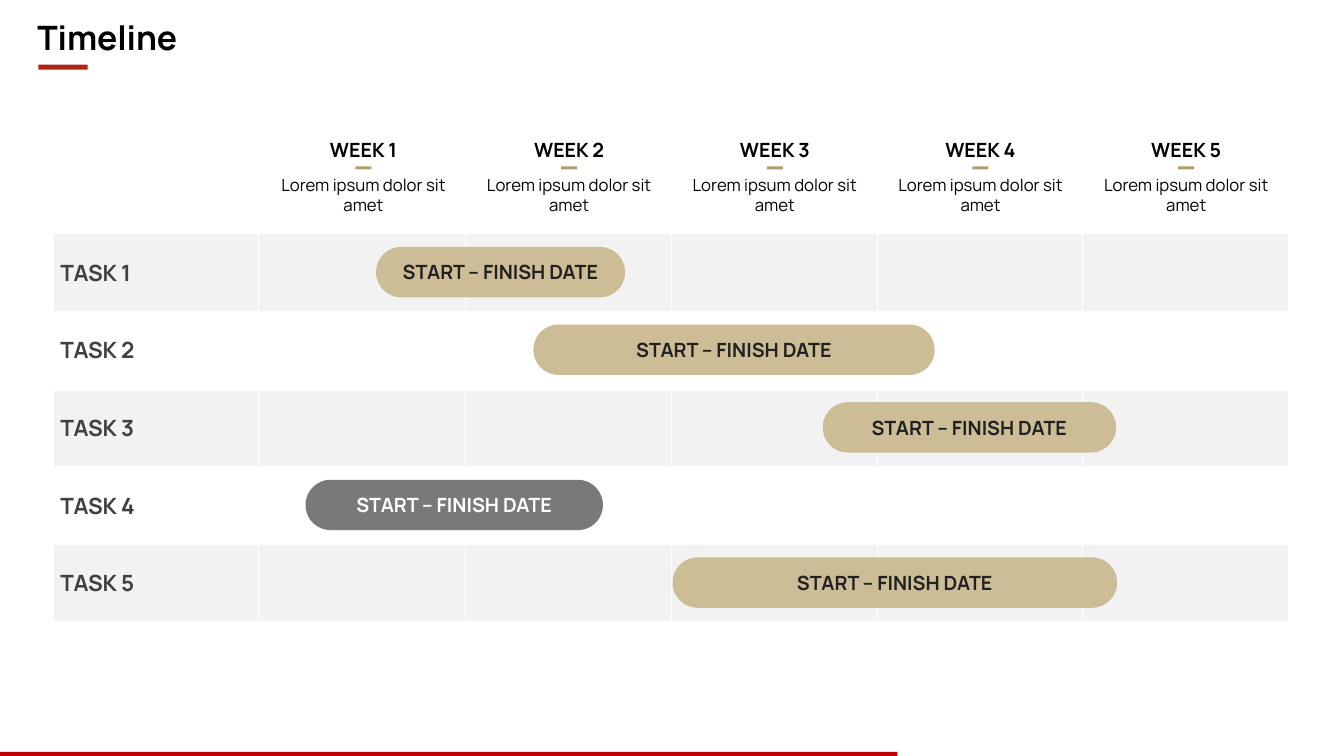
from lxml import etree
from pptx import Presentation
from pptx import util as u
from pptx.dml.color import RGBColor
from pptx.enum import shapes, text
from pptx.oxml import ns

FONT = "Manrope"
BLACK = RGBColor(0, 0, 0)
WHITE = RGBColor(255, 255, 255)
INK = RGBColor(0x21, 0x21, 0x21)
TASK_GREY = RGBColor(0x40, 0x40, 0x40)
BAND = RGBColor(0xF2, 0xF2, 0xF2)
SAND = RGBColor(0xCD, 0xBD, 0x96)
GREY = RGBColor(0x79, 0x79, 0x79)
GOLD = RGBColor(0xB6, 0x9B, 0x6A)
BRICK = RGBColor(0xB0, 0x24, 0x18)
RED = RGBColor(0xC0, 0, 0)

TITLE = "Timeline"
WEEKS = [(f"WEEK {number}", "Lorem ipsum dolor sit amet") for number in range(1, 6)]
DATES = "START – FINISH DATE"
# task, bar left, bar width, bar colour, text colour
TASKS = [
    ("TASK 1", 3.73, 2.47, SAND, INK),
    ("TASK 2", 5.29, 3.98, SAND, INK),
    ("TASK 3", 8.16, 2.91, SAND, INK),
    ("TASK 4", 3.03, 2.95, GREY, WHITE),
    ("TASK 5", 6.67, 4.41, SAND, INK),
]

COLUMNS = [2.03, 2.06, 2.04, 2.04, 2.04, 2.04]
GRID_LEFT, GRID_TOP, ROW_HEIGHT = 0.53, 2.32, 0.77
WEEK_LEFT, WEEK_PITCH, WEEK_WIDTH = 2.73, 2.04, 1.75
BAR_TOP, BAR_HEIGHT = 2.45, 0.5
THICK_BORDER_ROW = 1

deck = Presentation()
deck.slide_width, deck.slide_height = u.Inches(13.33), u.Inches(7.5)
page = deck.slides.add_slide(deck.slide_layouts[5])


def inches(*lengths):
    return [u.Inches(length) for length in lengths]


def write(frame, words, size, color, bold=False, align=text.PP_ALIGN.CENTER,
          anchor=text.MSO_ANCHOR.TOP, inset=0.0, wrap=True):
    frame.word_wrap = wrap
    frame.vertical_anchor = anchor
    frame.margin_left = frame.margin_right = u.Inches(inset)
    frame.margin_top = frame.margin_bottom = u.Inches(inset)
    para = frame.paragraphs[0]
    para.alignment = align
    span = para.add_run()
    span.text = words
    style(span.font, size, color, bold)


def style(font, size, color, bold):
    font.name, font.size, font.bold = FONT, u.Pt(size), bold
    font.color.rgb = color


def add_box(kind, color, *place):
    box = page.shapes.add_shape(kind, *inches(*place))
    box.shadow.inherit = False
    box.fill.solid()
    box.fill.fore_color.rgb = color
    box.line.fill.background()
    return box


def add_border(cell, side, points):
    line = etree.SubElement(cell._tc.get_or_add_tcPr(), ns.qn(f"a:ln{side}"),
                            w=str(u.Pt(points)))
    fill = etree.SubElement(line, ns.qn("a:solidFill"))
    etree.SubElement(fill, ns.qn("a:srgbClr"), val=str(WHITE))


def add_grid():
    frame = page.shapes.add_table(
        len(TASKS), len(COLUMNS),
        *inches(GRID_LEFT, GRID_TOP, sum(COLUMNS), ROW_HEIGHT * len(TASKS)))
    table = frame.table
    table.first_row = table.horz_banding = False
    for column, width in zip(table.columns, COLUMNS):
        column.width = u.Inches(width)
    for index, (row, task) in enumerate(zip(table.rows, TASKS)):
        row.height = u.Inches(ROW_HEIGHT)
        top = 3 if index == THICK_BORDER_ROW + 1 else 1
        bottom = 3 if index == THICK_BORDER_ROW else 1
        for cell in row.cells:
            for side, points in (("L", 1), ("R", 1), ("T", top), ("B", bottom)):
                add_border(cell, side, points)
            if index % 2:
                cell.fill.background()
            else:
                cell.fill.solid()
                cell.fill.fore_color.rgb = BAND
        label = row.cells[0]
        label.vertical_anchor = text.MSO_ANCHOR.MIDDLE
        label.margin_left = label.margin_right = u.Inches(0.07)
        label.margin_top = label.margin_bottom = u.Inches(0.07)
        span = label.text_frame.paragraphs[0].add_run()
        span.text = task[0]
        style(span.font, 16, TASK_GREY, True)


title = page.shapes.title
title.left, title.top, title.width, title.height = inches(0.32, 0.12, 1.51, 0.5)
write(title.text_frame, TITLE, 24, BLACK, True, text.PP_ALIGN.LEFT,
      inset=0.05, wrap=False)
add_box(shapes.MSO_SHAPE.RECTANGLE, BRICK, 0.38, 0.64, 0.49, 0.05)
add_box(shapes.MSO_SHAPE.RECTANGLE, RED, 0, 7.46, 8.9, 0.05)

add_grid()

for index, (week, detail) in enumerate(WEEKS):
    left = WEEK_LEFT + index * WEEK_PITCH
    heading = page.shapes.add_textbox(*inches(left, 1.37, WEEK_WIDTH, 0.22))
    write(heading.text_frame, week, 14, BLACK, True)
    add_box(shapes.MSO_SHAPE.RECTANGLE, GOLD,
            left + (WEEK_WIDTH - 0.16) / 2, 1.65, 0.16, 0.03)
    caption = page.shapes.add_textbox(*inches(left, 1.73, WEEK_WIDTH, 0.39))
    write(caption.text_frame, detail, 12, BLACK)

for index, (task, left, width, color, ink) in enumerate(TASKS):
    bar = add_box(shapes.MSO_SHAPE.ROUNDED_RECTANGLE, color,
                  left, BAR_TOP + index * ROW_HEIGHT, width, BAR_HEIGHT)
    bar.adjustments[0] = 0.5
    write(bar.text_frame, DATES, 14, ink, True,
          anchor=text.MSO_ANCHOR.MIDDLE, inset=0.05)

deck.save("out.pptx")
